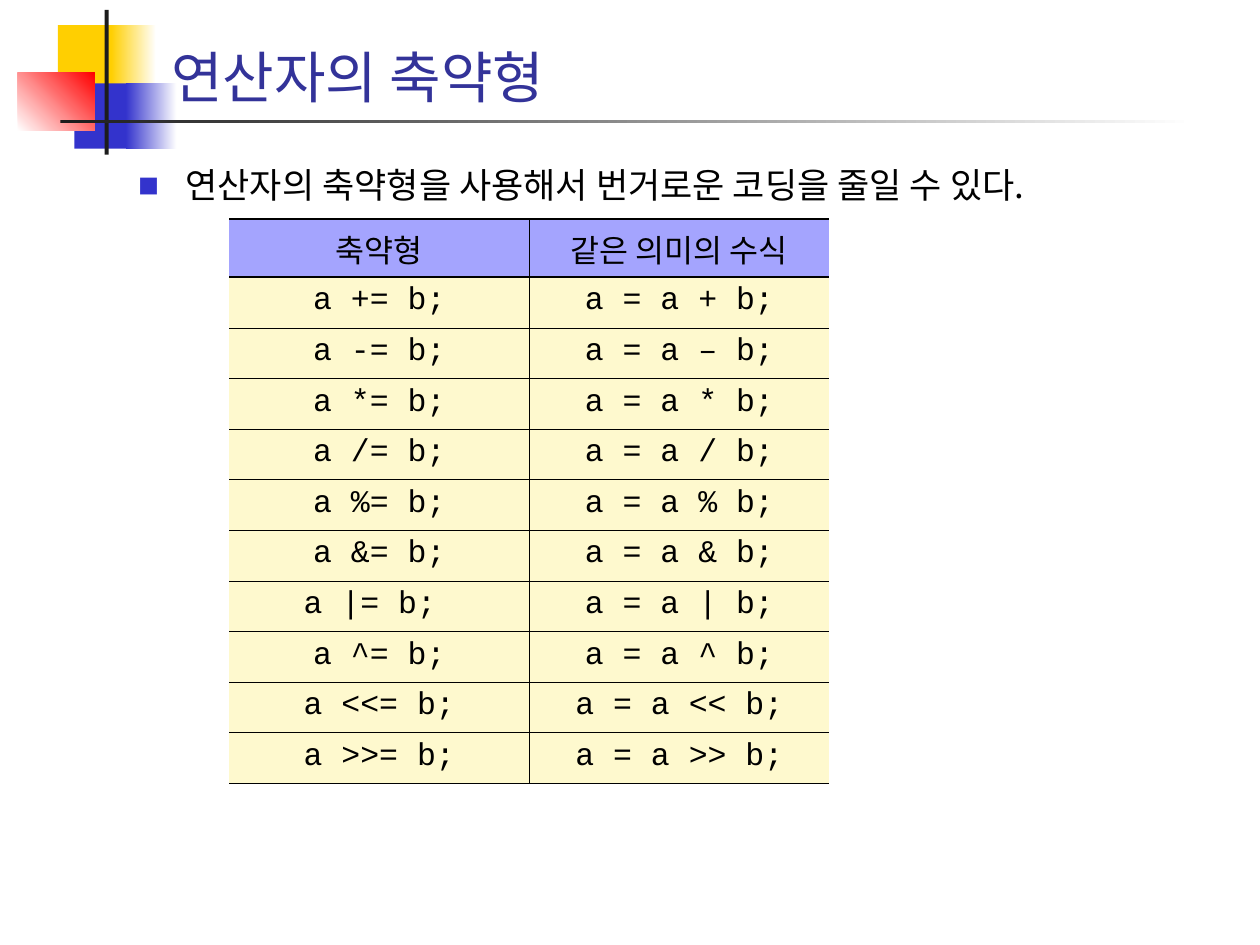
import pptx
import pptx.util
import pptx.dml.color
import pptx.enum.shapes
import pptx.enum.text
import pptx.oxml.ns
import lxml.etree

Cm = pptx.util.Cm
Pt = pptx.util.Pt
RGB = pptx.dml.color.RGBColor
qn = pptx.oxml.ns.qn

GOLD = RGB(0xFF, 0xCF, 0x01)
BLUE = RGB(0x33, 0x33, 0xCC)
RED = RGB(0xFF, 0x00, 0x00)
DARK = RGB(0x1C, 0x1C, 0x1C)
WHITE = RGB(0xFF, 0xFF, 0xFF)
BLACK = RGB(0x00, 0x00, 0x00)
NAVY = RGB(0x33, 0x33, 0x99)
LILAC = RGB(0xA4, 0xA4, 0xFE)
CREAM = RGB(0xFE, 0xF9, 0xCE)
HANGUL = "Noto Sans CJK KR"
CODE = "Courier New"


def add(node, tag, **vals):
    return lxml.etree.SubElement(node, qn(tag), vals)


def style(para, text, look, color):
    run = para.add_run()
    run.text = text
    for key, val in look.items():
        setattr(run.font, key, val)
    run.font.color.rgb = color
    add(run.font._element, "a:ea", typeface=HANGUL)


deck = pptx.Presentation()
deck.slide_width, deck.slide_height = Cm(25.4), Cm(19.05)
slide = deck.slides.add_slide(deck.slide_layouts[6])

blocks = [
    (1.17, 0.51, 1.22, 1.32, [GOLD], 0),
    (2.24, 0.51, 0.91, 1.32, [GOLD, WHITE], 0),
    (1.5, 1.68, 1.17, 1.32, [BLUE], 0),
    (2.54, 1.68, 1.02, 1.32, [BLUE, WHITE], 0),
    (0.36, 1.47, 1.55, 1.17, [WHITE, RED], 45),
    (2.11, 0.2, 0.08, 2.92, [DARK], 0),
    (1.22, 2.41, 22.86, 0.08, [DARK, WHITE], 0),
]
rect = pptx.enum.shapes.MSO_SHAPE.RECTANGLE
for left, top, wide, high, tones, angle in blocks:
    block = slide.shapes.add_shape(rect, Cm(left), Cm(top), Cm(wide), Cm(high))
    block.shadow.inherit = False
    block.line.fill.background()
    if len(tones) == 1:
        block.fill.solid()
        block.fill.fore_color.rgb = tones[0]
    else:
        block.fill.gradient()
        block.fill.gradient_angle = angle
        for stop, tone in zip(block.fill.gradient_stops, tones):
            stop.color.rgb = tone

title = slide.shapes.add_textbox(Cm(3.2), Cm(0.43), Cm(21.64), Cm(1.9)).text_frame
title.word_wrap = True
title.vertical_anchor = pptx.enum.text.MSO_ANCHOR.BOTTOM
style(title.paragraphs[0], "연산자의 축약형", {"size": Pt(32), "name": "Roboto"}, NAVY)

body = slide.shapes.add_textbox(Cm(2.54), Cm(3.18), Cm(21.59), Cm(14.17)).text_frame
body.word_wrap = True
para = body.paragraphs[0]
props = para._p.get_or_add_pPr()
for key, val in {"marL": Cm(0.95), "indent": -Cm(0.95)}.items():
    props.set(key, str(int(val)))
add(add(props, "a:buClr"), "a:srgbClr", val=str(BLUE))
add(props, "a:buSzPct", val="60000")
add(props, "a:buFont", typeface=HANGUL)
add(props, "a:buChar", char="■")
style(para, "연산자의 축약형을 사용해서 번거로운 코딩을 줄일 수 있다.",
      {"size": Pt(20), "name": HANGUL}, BLACK)

rows = [("축약형", "같은 의미의 수식")]
for sign in ["+", "-", "*", "/", "%", "&", "|", "^", "<<", ">>"]:
    tail = " " if sign == "|" else ""
    full = "–" if sign == "-" else sign
    rows.append((f"a {sign}= b;{tail}", f"a = a {full} b;"))

table = slide.shapes.add_table(
    len(rows), 2, Cm(4.62), Cm(4.42), Cm(12.1), Cm(11.37)).table
for col in table.columns:
    col.width = Cm(6.05)
for r, row in enumerate(rows):
    head = r == 0
    table.rows[r].height = Cm(1.17 if head else 1.02)
    edges = {
        "a:lnT": 1.08 if r < 2 else 0.45,
        "a:lnB": 1.08 if head else 0.45,
    }
    for c, text in enumerate(row):
        cell = table.cell(r, c)
        sides = {"a:lnL": 0.45 * c, "a:lnR": 0.45 * (1 - c)}
        props = cell._tc.get_or_add_tcPr()
        for tag, size in {**sides, **edges}.items():
            line = add(props, tag, w=str(int(Pt(size))))
            if size:
                add(add(line, "a:solidFill"), "a:srgbClr", val=str(BLACK))
            else:
                add(line, "a:noFill")
        cell.fill.solid()
        cell.fill.fore_color.rgb = LILAC if head else CREAM
        para = cell.text_frame.paragraphs[0]
        para.alignment = pptx.enum.text.PP_ALIGN.CENTER
        look = {"size": Pt(18), "bold": False, "name": HANGUL if head else CODE}
        style(para, text, look, BLACK)

deck.save("out.pptx")
